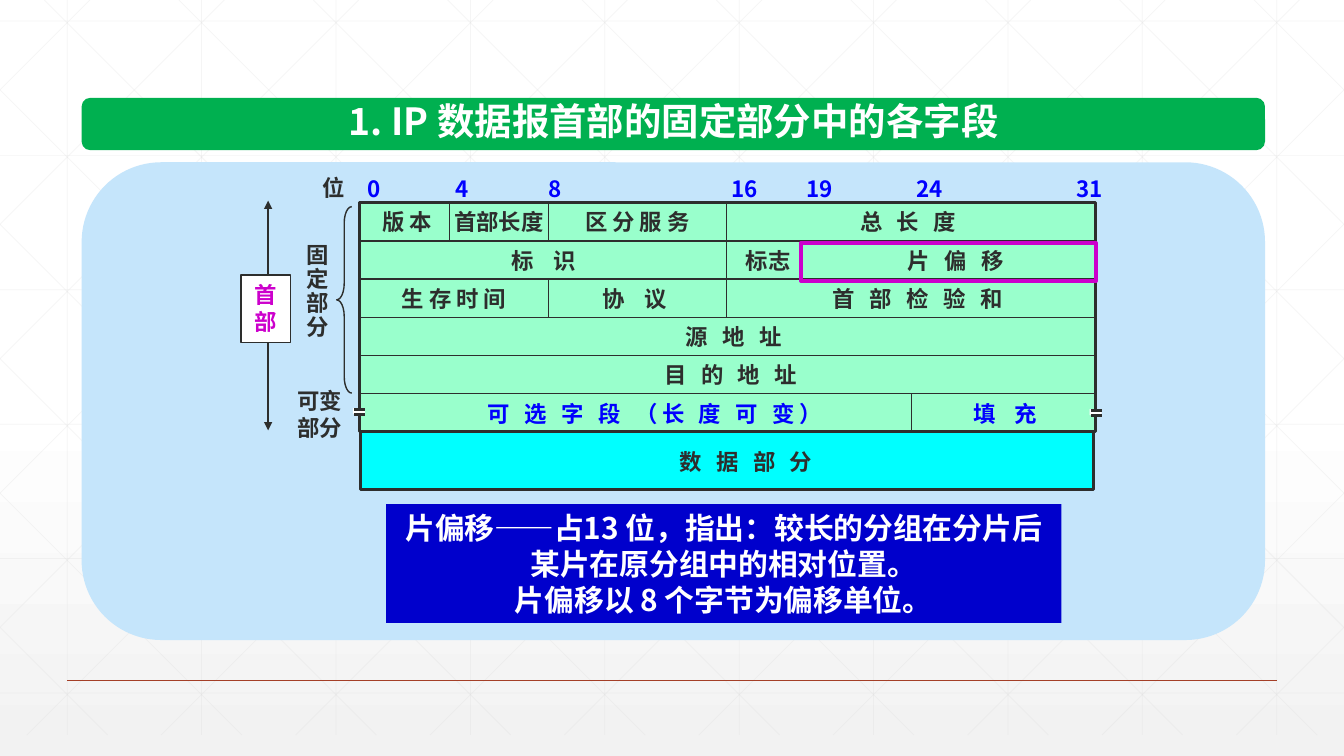
from dataclasses import dataclass

from lxml.etree import SubElement
from pptx import Presentation
from pptx.dml.color import RGBColor
from pptx.enum.shapes import MSO_CONNECTOR, MSO_SHAPE
from pptx.enum.text import MSO_ANCHOR, PP_ALIGN
from pptx.oxml.ns import qn
from pptx.util import Emu, Inches, Pt

# The slide is a grid of 160 columns by 90 rows; one cell is 6 pt square.
COLS, ROWS = 160, 90
CELL = Inches(13.333) / COLS
FONT = "Noto Sans CJK SC"
INK, BLUE, MAGENTA, WHITE = "2D2E2D", "0000FF", "CC00CC", "FFFFFF"

# Column of each bit boundary in the header diagram
EDGE = {0: 42.84, 4: 53.52, 8: 65.28, 16: 86.52, 19: 95.4, 24: 108.48, 32: 130.44}
TOP, FIELD_H, FIELD_ROWS = 24.12, 4.55, 6


@dataclass
class Label:
    text: str
    centre: float
    top: float
    color: str = INK
    tracking: float = 0
    spacing: float = 1


@dataclass
class Field:
    text: str
    start: int
    end: int
    row: int
    nudge: float = 0
    tracking: float = 0
    color: str = INK


@dataclass
class Divider:
    bit: int
    first: int
    last: int


FIELDS = [
    Field("版 本", 0, 4, 0, 0.3),
    Field("首部长度", 4, 8, 0),
    Field("区 分 服 务", 8, 16, 0),
    Field("总 长 度", 16, 32, 0, -0.36, 3.4),
    Field("标 识", 0, 16, 1, 0, 5.2),
    Field("标志", 16, 19, 1, 0.48),
    Field("片 偏 移", 19, 32, 1, 0.84, 3.4),
    Field("生 存 时 间", 0, 8, 2),
    Field("协 议", 8, 16, 2, -0.3, 5.2),
    Field("首 部 检 验 和", 16, 32, 2, 0.78, 3.4),
    Field("源 地 址", 0, 32, 3, 0.72, 3.4),
    Field("目 的 地 址", 0, 32, 4, 0.36, 3.4),
    Field("可 选 字 段 （长 度 可 变）", 0, 24, 5, 2.34, 3.4, BLUE),
    Field("填 充", 24, 32, 5, 0.2, 5.2, BLUE),
]
DIVIDERS = [Divider(4, 0, 1), Divider(8, 0, 1), Divider(8, 2, 3),
            Divider(16, 0, 3), Divider(19, 1, 2), Divider(24, 5, 6)]
BIT_CENTRES = {"0": 44.52, "4": 54.96, "8": 66.12, "16": 88.68,
               "19": 97.56, "24": 110.64, "31": 129.72}
LABELS = [
    Label("位", 39.78, 20.04),
    Label("固\n定\n部\n分", 37.86, 28.32, spacing=0.9),
    Label("可变\n部分", 38.04, 45.36),
    Label("数 据 部 分", 88.8, 52.68, tracking=3.4),
]
NOTE = "片偏移——占13 位，指出：较长的分组在分片后\n某片在原分组中的相对位置。\n片偏移以 8 个字节为偏移单位。"


def rgb(color: str) -> RGBColor:
    return RGBColor.from_string(color)


def g(cells: float) -> Emu:
    """Length of a number of grid cells."""
    return Emu(round(cells * CELL))


def row_top(row: int) -> float:
    return TOP + row * FIELD_H


def add_box(s, x, y, w, h, fill=None, line=None, width=1, kind=MSO_SHAPE.RECTANGLE, adj=()):
    sp = s.shapes.add_shape(kind, g(x), g(y), g(w), g(h))
    sp.shadow.inherit = False
    for i, value in enumerate(adj):
        sp.adjustments[i] = value
    if fill:
        sp.fill.solid()
        sp.fill.fore_color.rgb = rgb(fill)
    else:
        sp.fill.background()
    if line:
        sp.line.color.rgb = rgb(line)
        sp.line.width = Pt(width)
    else:
        sp.line.fill.background()
    return sp


def add_line(s, x1, y1, x2, y2, color=INK, width=1.0, alpha=None, arrows=False):
    ln = s.shapes.add_connector(MSO_CONNECTOR.STRAIGHT, g(x1), g(y1), g(x2), g(y2))
    ln.line.color.rgb = rgb(color)
    ln.line.width = Pt(width)
    props = ln._element.spPr
    outline = props.find(qn("a:ln"))
    if alpha:
        SubElement(outline.find(".//" + qn("a:srgbClr")), qn("a:alpha"), val=str(alpha * 1000))
    if arrows:
        for end in ("a:headEnd", "a:tailEnd"):
            SubElement(outline, qn(end), type="triangle")
    SubElement(props, qn("a:effectLst"))
    return ln


def write(sp, text: str, size: float, color: str, tracking=0.0, spacing=1.0,
          inset=(1.2, 0.6), anchor=MSO_ANCHOR.TOP) -> None:
    """Centred bold text, one paragraph a line."""
    tf = sp.text_frame
    tf.word_wrap = False
    tf.vertical_anchor = anchor
    tf.margin_left = tf.margin_right = g(inset[0])
    tf.margin_top = tf.margin_bottom = g(inset[1])
    tf.text = text
    for p in tf.paragraphs:
        p.alignment = PP_ALIGN.CENTER
        p.line_spacing = spacing
        p.font.size, p.font.bold = Pt(size), True
        p.font.color.rgb = rgb(color)
        p.font.name = FONT
        defaults = p._p.pPr.find(qn("a:defRPr"))
        SubElement(defaults, qn("a:ea"), typeface=FONT)
        if tracking:
            defaults.set("spc", str(round(tracking * 100)))


def add_label(s, label: Label) -> None:
    """Text box as large as its 16 pt text."""
    lines = label.text.split("\n")
    glyphs = sum({" ": 0.84}.get(c, 1.68 if c.isdigit() else 2.67) for c in lines[0])
    w = 3.12 + glyphs + len(lines[0]) * label.tracking / 6
    h = 1.44 + 3.36 * label.spacing * len(lines)
    box = s.shapes.add_textbox(g(label.centre - w / 2), g(label.top), g(w), g(h))
    write(box, label.text, 16, label.color, label.tracking, label.spacing, (1.56, 0.72))


def draw_background(s) -> None:
    fill = s.background.fill
    fill.gradient()
    fill.gradient_angle = 270
    for stop, position, color in zip(fill.gradient_stops, (0.53, 1), (WHITE, "F2F2F2")):
        stop.position = position
        stop.color.rgb = rgb(color)
    bottom = 87.5
    mesh = [(x, 0, x, bottom) for x in range(8, COLS, 16)]
    mesh += [(0, 2.5 + 16 * k, COLS, 2.5 + 16 * k) for k in range(6)]
    for k in range(-5, 10):
        start = 5.3 + 16 * k
        x1, y1 = max(0, start), max(0, -start)
        y2 = min(bottom, COLS - start)
        x2 = start + y2
        mesh += [(x1, y1, x2, y2), (COLS - x1, y1, COLS - x2, y2)]
    for ends in mesh:
        add_line(s, *ends, color="D9D9D9", width=0.5, alpha=25)
    add_line(s, 8, 81, 152, 81, "A43F27")


def draw_datagram(s) -> None:
    left, right = EDGE[0], EDGE[32]
    header = add_box(s, left, TOP, right - left, FIELD_ROWS * FIELD_H, "99FFCC", INK, 2)
    add_box(s, 42.96, 51.36, 87.24, 6.96, "00FFFF", INK, 2.25)
    for row in range(1, FIELD_ROWS):
        ln = add_line(s, left, row_top(row), right, row_top(row))
        if 2 * row == FIELD_ROWS:
            ln.begin_connect(header, 1)
            ln.end_connect(header, 3)
    for d in DIVIDERS:
        add_line(s, EDGE[d.bit], row_top(d.first), EDGE[d.bit], row_top(d.last))
    for f in FIELDS:
        centre = (EDGE[f.start] + EDGE[f.end]) / 2 + f.nudge
        add_label(s, Label(f.text, centre, row_top(f.row), f.color, f.tracking))
    for bit, centre in BIT_CENTRES.items():
        add_label(s, Label(bit, centre, 20.16, BLUE))
    for label in LABELS:
        add_label(s, label)
    for x, y in ((42, 48.6), (129.72, 48.72)):
        add_box(s, x, y, 1.44, 0.72, WHITE)
        for dy in (0.12, 0.72):
            add_line(s, x + 0.12, y + dy, x + 1.44, y + dy, width=2)
    add_box(s, 40.08, 24.6, 1.8, 22.2, line=INK, kind=MSO_SHAPE.LEFT_BRACE, adj=(1.08, 0.5))
    add_line(s, 31.92, 23.88, 31.92, 51.24, arrows=True)
    head = add_box(s, 28.68, 32.76, 5.88, 8.04, WHITE, INK)
    write(head, "首\n部", 16, MAGENTA, inset=(1.56, 0.72))


def main() -> None:
    prs = Presentation()
    prs.slide_width, prs.slide_height = g(COLS), g(ROWS)
    s = prs.slides.add_slide(prs.slide_layouts[6])
    draw_background(s)
    rounded = MSO_SHAPE.ROUNDED_RECTANGLE
    add_box(s, 9.72, 11.64, 140.88, 6.24, "00B050", kind=rounded)
    title = s.shapes.add_textbox(g(39.12), g(11.04), g(82.2), g(6.6))
    write(title, "1. IP 数据报首部的固定部分中的各字段", 26.7, WHITE)
    add_box(s, 9.72, 19.32, 140.88, 56.88, "C5E5FB", kind=rounded)
    draw_datagram(s)
    note = add_box(s, 45.96, 60, 80.4, 14.16, "0000CC")
    write(note, NOTE, 21.3, WHITE, anchor=MSO_ANCHOR.MIDDLE)
    add_box(s, EDGE[19], row_top(1) + 0.25, EDGE[32] - EDGE[19], FIELD_H, line=MAGENTA, width=3)
    prs.save("out.pptx")


if __name__ == "__main__":
    main()
